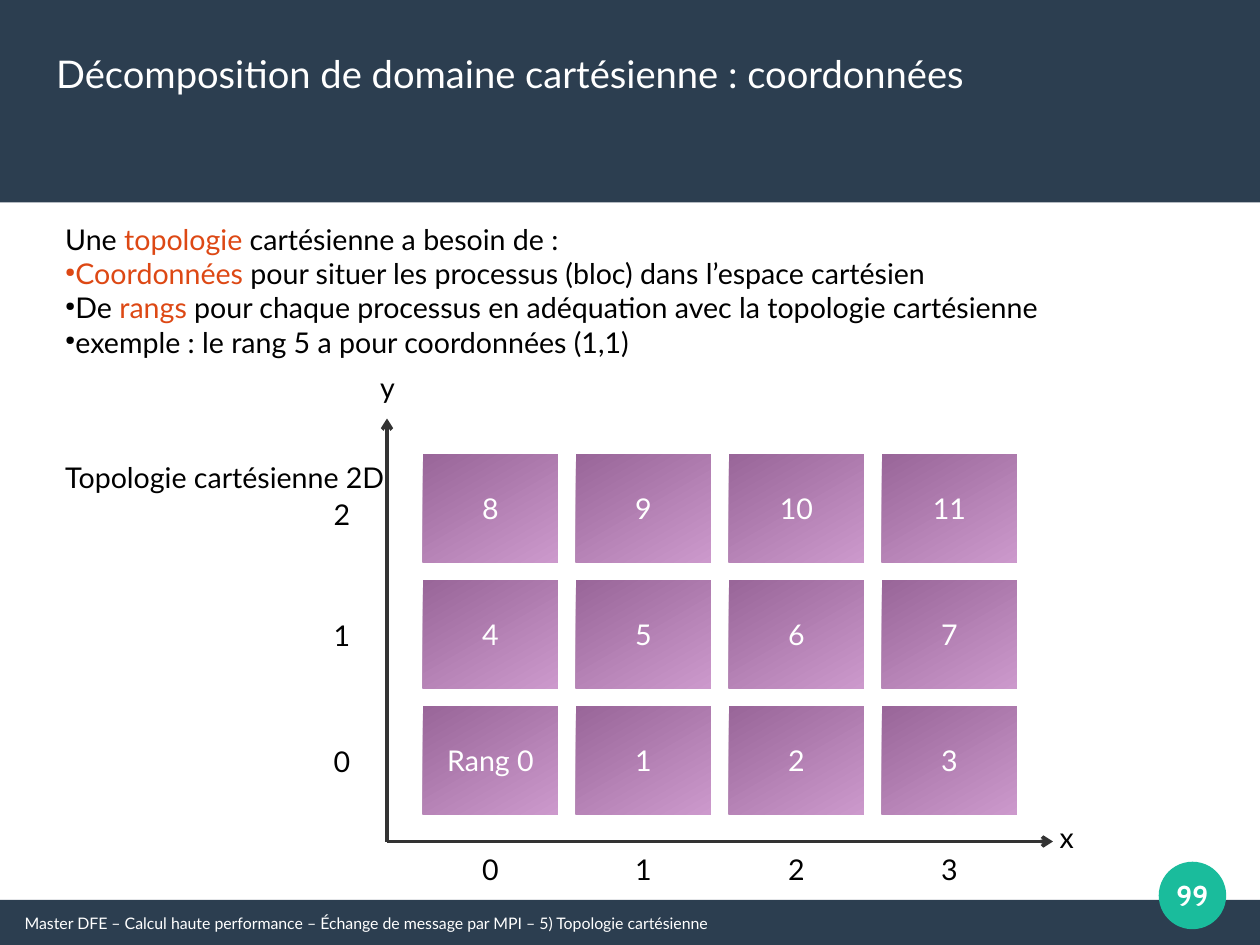
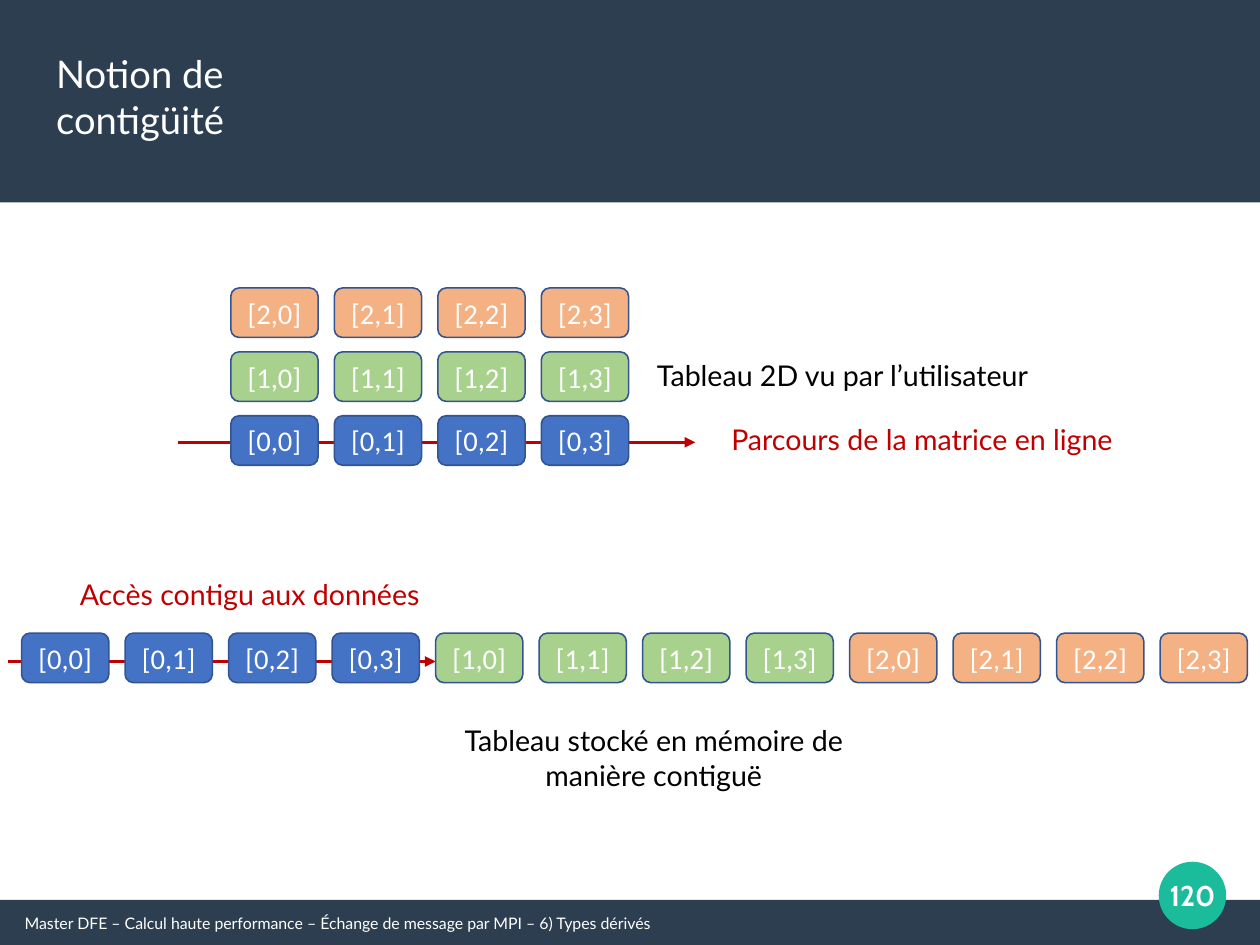
"""Builds two course slides on Cartesian topology and contiguous storage."""
from lxml import etree
from pptx import Presentation
from pptx.dml.color import RGBColor
from pptx.enum.shapes import MSO_CONNECTOR, MSO_SHAPE
from pptx.enum.text import MSO_ANCHOR, PP_ALIGN
from pptx.oxml.ns import qn
from pptx.util import Cm, Pt

RECTANGLE, ROUNDED, OVAL = MSO_SHAPE.RECTANGLE, MSO_SHAPE.ROUNDED_RECTANGLE, MSO_SHAPE.OVAL
STRAIGHT = MSO_CONNECTOR.STRAIGHT
LEFT, CENTER = PP_ALIGN.LEFT, PP_ALIGN.CENTER
TOP, MIDDLE = MSO_ANCHOR.TOP, MSO_ANCHOR.MIDDLE

COLORS = {
    "band": "2C3E50", "badge": "1ABC9C", "white": "FFFFFF", "black": "000000",
    "accent": "DD4814", "axis": "333333", "red": "C00000", "outline": "325491",
    "block_dark": "996699", "block_light": "CC99CC",
    "row0": "4472C4", "row1": "A9D18E", "row2": "F4B183",
}
COURSE = "Master DFE – Calcul haute performance – Échange de message par MPI – "


def rgb(name):
    return RGBColor.from_string(COLORS[name])


class Deck:
    """Holds the shared style and the slide being filled."""

    def __init__(self):
        self.presentation = Presentation()
        self.presentation.slide_width = Cm(28)
        self.presentation.slide_height = Cm(21)
        self.slide = None

    def start_slide(self, title, section, number, title_width=24):
        layout = self.presentation.slide_layouts[6]
        self.slide = self.presentation.slides.add_slide(layout)
        self.box(RECTANGLE, 0, 20, 28, 1, "band")
        self.box(RECTANGLE, 0, 0, 28, 4.5, "band")
        badge = self.box(OVAL, 25.75, 19.15, 1.5, 1.5, "badge")
        self.set_text(badge.text_frame, str(number), "white", CENTER, MIDDLE,
                      font="Cabin", bold=True)
        self.label(COURSE + section, 0.3, 20.17, 24, 0.74, "white", size=10)
        self.label(title, 1, 1, title_width, 2.16, "white", size=24)

    def style(self, paragraph, color, align=LEFT, font="Lato", size=18, bold=False):
        paragraph.alignment = align
        paragraph.font.name = font
        paragraph.font.size = Pt(size)
        paragraph.font.bold = bold
        paragraph.font.color.rgb = rgb(color)

    def set_text(self, frame, text, color, align, anchor, **font):
        frame.word_wrap = True
        frame.vertical_anchor = anchor
        if anchor == MIDDLE:
            frame.margin_left = frame.margin_right = 0
            frame.margin_top = frame.margin_bottom = 0
        frame.text = text
        self.style(frame.paragraphs[0], color, align, **font)

    def label(self, text, left, top, width, height, color="black", align=LEFT, **font):
        textbox = self.slide.shapes.add_textbox(Cm(left), Cm(top), Cm(width), Cm(height))
        self.set_text(textbox.text_frame, text, color, align, TOP, **font)

    def box(self, kind, left, top, width, height, color):
        shape = self.slide.shapes.add_shape(kind, Cm(left), Cm(top), Cm(width), Cm(height))
        shape.shadow.inherit = False
        shape.fill.solid()
        shape.fill.fore_color.rgb = rgb(color)
        shape.line.fill.background()
        return shape

    def gradient_block(self, text, left, top, width, height):
        block = self.box(RECTANGLE, left, top, width, height, "block_dark")
        block.fill.gradient()
        block.fill.gradient_angle = 300
        for stop, color in zip(block.fill.gradient_stops, ("block_dark", "block_light")):
            stop.color.rgb = rgb(color)
        self.set_text(block.text_frame, text, "white", CENTER, MIDDLE)

    def array_cell(self, row, column, left, top):
        cell = self.box(ROUNDED, left, top, 1.94, 1.1, f"row{row}")
        cell.line.color.rgb = rgb("outline")
        cell.line.width = Pt(1)
        self.set_text(cell.text_frame, f"[{row},{column}]", "white", CENTER, MIDDLE,
                      font="Calibri")

    def arrow(self, start, end, color, head):
        points = [Cm(value) for value in (*start, *end)]
        connector = self.slide.shapes.add_connector(STRAIGHT, *points)
        connector.line.color.rgb = rgb(color)
        connector.line.width = Pt(2.25)
        properties = connector._element.spPr
        etree.SubElement(properties.find(qn("a:ln")), qn("a:tailEnd"), type=head)
        etree.SubElement(properties, qn("a:effectLst"))

    def bullet(self, paragraph, color):
        properties = paragraph._p.get_or_add_pPr()
        properties.set("marL", "0")
        properties.set("indent", "0")
        bullet_color = etree.SubElement(properties, qn("a:buClr"))
        etree.SubElement(bullet_color, qn("a:srgbClr"), val=COLORS[color])
        etree.SubElement(properties, qn("a:buSzPct"), val="45000")
        etree.SubElement(properties, qn("a:buChar"), char="●")

    def intro_list(self, lines, left, top, width, height):
        textbox = self.slide.shapes.add_textbox(Cm(left), Cm(top), Cm(width), Cm(height))
        frame = textbox.text_frame
        frame.word_wrap = True
        for index, pieces in enumerate(lines):
            paragraph = frame.add_paragraph() if index else frame.paragraphs[0]
            if index:
                self.bullet(paragraph, pieces[0][1])
            self.style(paragraph, "black")
            for text, color in pieces:
                run = paragraph.add_run()
                run.text = text
                run.font.color.rgb = rgb(color)


def coordinates_slide(deck):
    deck.start_slide("Décomposition de domaine cartésienne : coordonnées",
                     "5) Topologie cartésienne", 99)
    deck.intro_list([
        [("Une ", "black"), ("topologie", "accent"), (" cartésienne a besoin de :", "black")],
        [("Coordonnées", "accent"),
         (" pour situer les processus (bloc) dans l’espace cartésien", "black")],
        [("De ", "black"), ("rangs", "accent"),
         (" pour chaque processus en adéquation avec la topologie cartésienne", "black")],
        [("exemple : le rang 5 a pour coordonnées (1,1)", "black")],
    ], 1.2, 4.8, 25.4, 3.68)
    deck.label("Topologie cartésienne 2D", 1.2, 10.1, 8, 1.1)

    for rank in range(12):
        row, column = divmod(rank, 4)
        text = str(rank) if rank else "Rang 0"
        deck.gradient_block(text, 9.4 + 3.4 * column, 15.7 - 2.8 * row, 3, 2.4)

    origin = (8.6, 18.7)
    deck.arrow(origin, (23.4, 18.7), "axis", "arrow")
    deck.arrow(origin, (8.6, 9.3), "axis", "arrow")
    deck.label("y", 8.2, 8.1, 1, 1.1)
    deck.label("x", 23.3, 18.1, 2, 1.1)
    for column in range(4):
        deck.label(str(column), 10.3 + 3.4 * column, 18.8, 1.2, 1.1, align=CENTER)
    for row, top in enumerate((16.4, 13.6, 10.92)):
        deck.label(str(row), 7, top, 1.2, 1.5, align=CENTER)


def contiguity_slide(deck):
    deck.start_slide("Notion de contigüité", "6) Types dérivés", 120, title_width=7)
    deck.arrow((0.17, 14.7), (9.68, 14.7), "red", "triangle")
    deck.arrow((3.95, 9.83), (15.45, 9.83), "red", "triangle")

    pitch = 2.3
    for index in range(12):
        row, column = divmod(index, 4)
        deck.array_cell(row, column, 5.13 + pitch * column, 9.24 - 1.42 * row)
        deck.array_cell(row, column, 0.48 + pitch * index, 14.07)

    deck.label("Tableau 2D vu par l’utilisateur", 14.35, 7.82, 9.7, 1.02)
    deck.label("Tableau stocké en mémoire de manière contiguë", 9.68, 15.95, 9.7, 1.8, align=CENTER)
    deck.label("Parcours de la matrice en ligne", 14.94, 9.25, 11.1, 1.02, "red", CENTER)
    deck.label("Accès contigu aux données", 0, 12.7, 11.1, 1.02, "red", CENTER)


def main():
    deck = Deck()
    coordinates_slide(deck)
    contiguity_slide(deck)
    deck.presentation.save("out.pptx")


if __name__ == "__main__":
    main()
